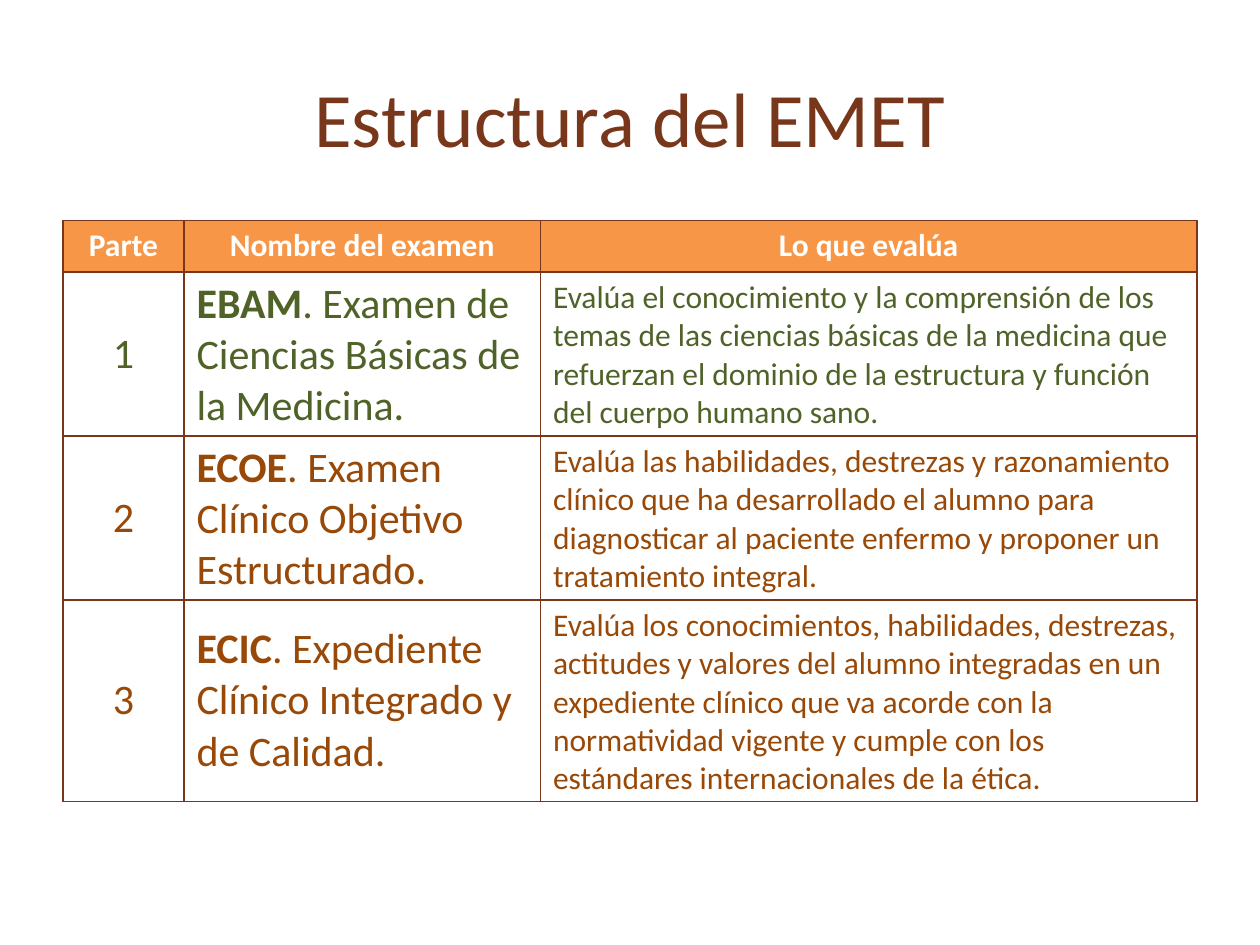
import lxml.etree
import pptx
import pptx.dml.color
import pptx.enum.text
import pptx.oxml.ns
import pptx.util

Inches = pptx.util.Inches
ALIGN = pptx.enum.text.PP_ALIGN
MIDDLE = pptx.enum.text.MSO_ANCHOR.MIDDLE
TOP = pptx.enum.text.MSO_ANCHOR.TOP

COLORS = {
    "brown": "78361A",
    "header": "F79646",
    "white": "FFFFFF",
    "green": "4F6228",
    "rust": "984807",
}

TITLE = {"size": pptx.util.Pt(44), "bold": False}
HEADER = {"size": pptx.util.Pt(18), "bold": True}
NAME = {"size": pptx.util.Pt(24), "bold": False}
ACRONYM = {"size": pptx.util.Pt(24), "bold": True}
DETAIL = {"size": pptx.util.Pt(18), "bold": False}

COLUMN_WIDTHS = [0.96, 2.83, 5.21]
ROW_HEIGHTS = [0.41, 1.3, 1.3, 1.6]
HEADINGS = ["Parte", "Nombre del examen", "Lo que evalúa"]

# Acronym, rest of the name, what it evaluates, text colour
EXAMS = [
    ("EBAM", ". Examen de Ciencias Básicas de la Medicina.",
     "Evalúa el conocimiento y la comprensión de los temas de las ciencias "
     "básicas de la medicina que refuerzan el dominio de la estructura y "
     "función del cuerpo humano sano.", "green"),
    ("ECOE", ". Examen Clínico Objetivo Estructurado.",
     "Evalúa las habilidades, destrezas y razonamiento clínico que ha "
     "desarrollado el alumno para diagnosticar al paciente enfermo y "
     "proponer un tratamiento integral.", "rust"),
    ("ECIC", ". Expediente Clínico Integrado y de Calidad.",
     "Evalúa los conocimientos, habilidades, destrezas, actitudes y valores "
     "del alumno integradas en un expediente clínico que va acorde con la "
     "normatividad vigente y cumple con los estándares internacionales de "
     "la ética.", "rust"),
]


def rgb(name):
    return pptx.dml.color.RGBColor.from_string(COLORS[name])


def write_text(frame, pieces, color, align):
    """Fill the first paragraph with (text, format) pieces."""
    para = frame.paragraphs[0]
    para.alignment = align
    for text, style in pieces:
        span = para.add_run()
        span.text = text
        span.font.name = "Calibri"
        span.font.color.rgb = rgb(color)
        for key, value in style.items():
            setattr(span.font, key, value)


def add_borders(cell):
    """Draw a 1 pt line on each side; call before the cell is filled."""
    properties = cell._tc.get_or_add_tcPr()
    qn = pptx.oxml.ns.qn
    for side in ("a:lnL", "a:lnR", "a:lnT", "a:lnB"):
        line = lxml.etree.SubElement(properties, qn(side), w=str(pptx.util.Pt(1)))
        fill = lxml.etree.SubElement(line, qn("a:solidFill"))
        lxml.etree.SubElement(fill, qn("a:srgbClr"), val=COLORS["brown"])


def format_cell(cell, pieces, color, align=ALIGN.LEFT, anchor=MIDDLE, fill=None):
    add_borders(cell)
    if fill:
        cell.fill.solid()
        cell.fill.fore_color.rgb = rgb(fill)
    else:
        cell.fill.background()
    cell.vertical_anchor = anchor
    write_text(cell.text_frame, pieces, color, align)


def add_title(page, text):
    box = page.shapes.add_textbox(Inches(0.5), Inches(0.3), Inches(9), Inches(1.25))
    box.text_frame.word_wrap = True
    box.text_frame.vertical_anchor = MIDDLE
    write_text(box.text_frame, [(text, TITLE)], "brown", ALIGN.CENTER)


def add_exam_table(page):
    table = page.shapes.add_table(
        len(ROW_HEIGHTS), len(COLUMN_WIDTHS), Inches(0.5), Inches(1.75),
        Inches(sum(COLUMN_WIDTHS)), Inches(sum(ROW_HEIGHTS))).table
    table.horz_banding = False
    for column, width in zip(table.columns, COLUMN_WIDTHS):
        column.width = Inches(width)
    for row, height in zip(table.rows, ROW_HEIGHTS):
        row.height = Inches(height)

    # Header row
    for index, heading in enumerate(HEADINGS):
        format_cell(table.cell(0, index), [(heading, HEADER)], "white",
                    ALIGN.CENTER, TOP, "header")

    # One row for each exam
    for number, (acronym, name, detail, color) in enumerate(EXAMS, start=1):
        format_cell(table.cell(number, 0), [(str(number), NAME)], color, ALIGN.CENTER)
        format_cell(table.cell(number, 1), [(acronym, ACRONYM), (name, NAME)], color)
        format_cell(table.cell(number, 2), [(detail, DETAIL)], color)


def main():
    deck = pptx.Presentation()
    deck.slide_width = Inches(10)
    deck.slide_height = Inches(7.5)
    page = deck.slides.add_slide(deck.slide_layouts[6])
    add_title(page, "Estructura del EMET")
    add_exam_table(page)
    deck.save("out.pptx")


if __name__ == "__main__":
    main()
